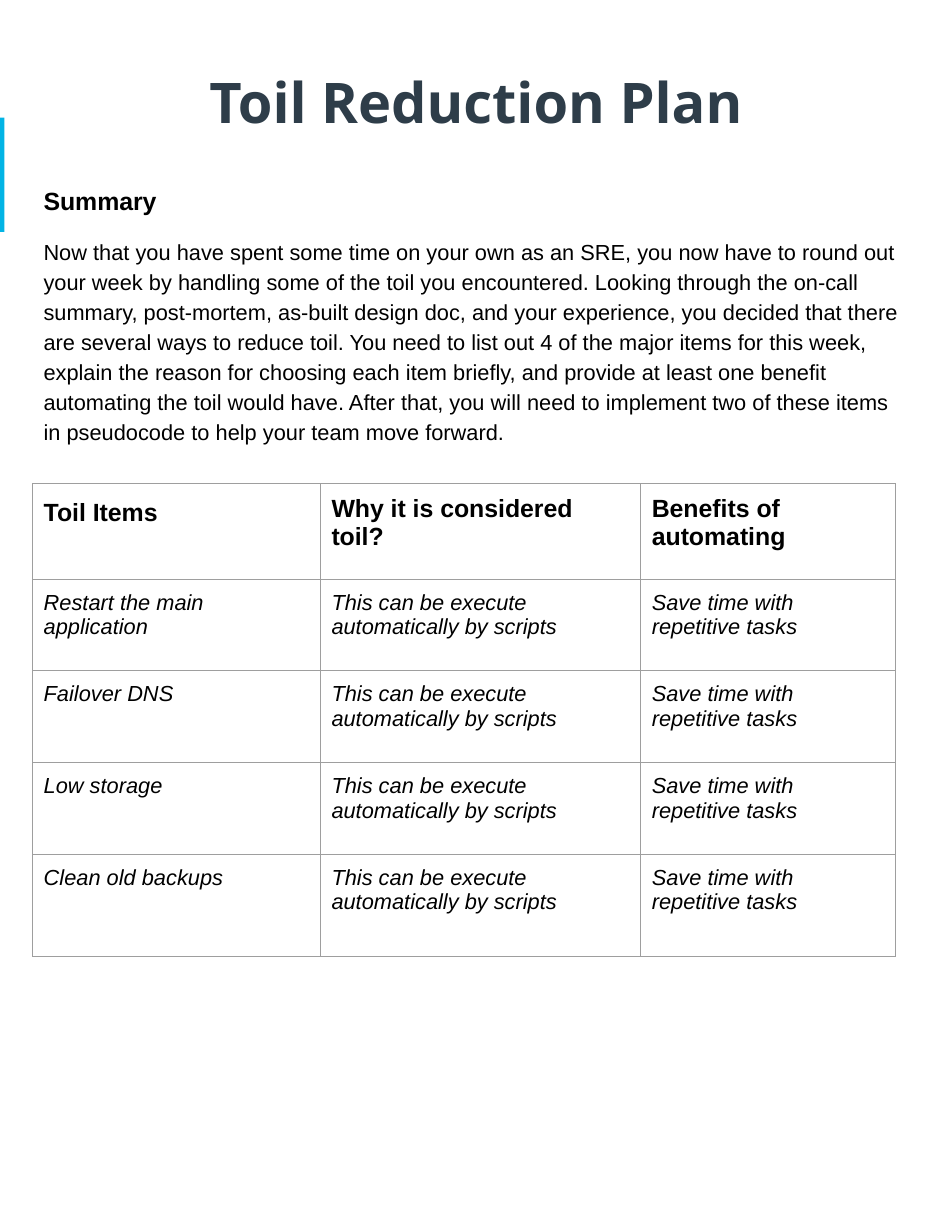
from dataclasses import dataclass

from lxml import etree
from pptx import Presentation
from pptx.dml.color import RGBColor
from pptx.enum.shapes import MSO_SHAPE
from pptx.enum.text import MSO_ANCHOR, PP_ALIGN
from pptx.oxml.ns import qn
from pptx.util import Inches, Pt

RECT = MSO_SHAPE.RECTANGLE
MIDDLE, TOP = MSO_ANCHOR.MIDDLE, MSO_ANCHOR.TOP
CENTER, LEFT = PP_ALIGN.CENTER, PP_ALIGN.LEFT

WIDE, HIGH = 8.5, 11
EDGE, PAD = 0.29, 0.1
COLS = (2.57, 2.86, 2.28)
ROWS = (0.85, 0.82, 0.82, 0.82, 0.91)
BLACK, NAVY, CYAN, GRAY = "000000", "2E3D49", "02B4E5", "9E9E9E"

SUMMARY = (
    "Now that you have spent some time on your own as an SRE, you now have to "
    "round out your week by handling some of the toil you encountered. Looking "
    "through the on-call summary, post-mortem, as-built design doc, and your "
    "experience, you decided that there are several ways to reduce toil. You need "
    "to list out 4 of the major items for this week, explain the reason for "
    "choosing each item briefly, and provide at least one benefit automating the "
    "toil would have. After that, you will need to implement two of these items "
    "in pseudocode to help your team move forward."
)
HEADS = ("Toil Items", "Why it is considered toil?", "Benefits of automating")
ITEMS = ("Restart the main\napplication", "Failover DNS", "Low storage",
         "Clean old backups")
REASON = "This can be execute automatically by scripts"
GAIN = "Save time with repetitive tasks"


@dataclass(frozen=True)
class Style:
    size: float
    font: str = "Arial"
    color: str = BLACK
    bold: bool = False
    italic: bool = False
    align: PP_ALIGN = LEFT
    line: float = 1.0
    before: float = 0
    after: float = 0


TITLE = Style(36, "Open Sans", NAVY, bold=True, align=CENTER)
LABEL = Style(16, bold=True, line=1.15, before=14)
PROSE = Style(14, line=1.15, before=12)
FIRST = Style(16, bold=True, line=1.15, before=12)
HEAD = Style(16, bold=True, before=12, after=12)
ENTRY = Style(14, italic=True)


def paint(target, color: str) -> None:
    target.rgb = RGBColor.from_string(color)


def format_text(para, style: Style) -> None:
    para.alignment = style.align
    para.line_spacing = style.line
    para.space_before, para.space_after = Pt(style.before), Pt(style.after)
    for run in para.runs:
        font = run.font
        font.name, font.size = style.font, Pt(style.size)
        font.bold, font.italic = style.bold, style.italic
        paint(font.color, style.color)


def add_text(slide, top: float, height: float, parts, anchor) -> None:
    box = slide.shapes.add_textbox(Inches(EDGE), Inches(top),
                                   Inches(WIDE - 2 * EDGE), Inches(height))
    frame = box.text_frame
    frame.word_wrap, frame.vertical_anchor = True, anchor
    frame.margin_left = frame.margin_right = Inches(PAD)
    frame.margin_top = frame.margin_bottom = Inches(PAD)
    frame.text = "\n".join(text for text, _ in parts)
    for para, (_, style) in zip(frame.paragraphs, parts):
        format_text(para, style)


def add_border(cell, color: str, width: float) -> None:
    props = cell._tc.get_or_add_tcPr()
    for spot, side in enumerate(("lnL", "lnR", "lnT", "lnB")):
        line = etree.Element(qn(f"a:{side}"), w=str(Pt(width)))
        fill = etree.SubElement(line, qn("a:solidFill"))
        etree.SubElement(fill, qn("a:srgbClr"), val=color)
        props.insert(spot, line)


def fill_cell(cell, text: str, style: Style) -> None:
    cell.margin_left = cell.margin_right = Inches(PAD)
    cell.margin_top = cell.margin_bottom = Inches(PAD)
    cell.fill.background()
    cell.text = text
    for para in cell.text_frame.paragraphs:
        format_text(para, style)
    add_border(cell, GRAY, 0.75)


def add_grid(slide, top: float) -> None:
    table = slide.shapes.add_table(
        len(ROWS), len(COLS), Inches(EDGE), Inches(top),
        Inches(sum(COLS)), Inches(sum(ROWS))).table
    table.first_row = table.horz_banding = False
    for col, width in zip(table.columns, COLS):
        col.width = Inches(width)
    for row, height in zip(table.rows, ROWS):
        row.height = Inches(height)
    lines = [HEADS] + [(item, REASON, GAIN) for item in ITEMS]
    for r, line in enumerate(lines):
        for c, text in enumerate(line):
            style = ENTRY if r else HEAD if c else FIRST
            fill_cell(table.cell(r, c), text, style)


def main() -> None:
    deck = Presentation()
    deck.slide_width, deck.slide_height = Inches(WIDE), Inches(HIGH)
    slide = deck.slides.add_slide(deck.slide_layouts[6])

    # Accent bar on the left edge
    bar = slide.shapes.add_shape(RECT, 0, Inches(1.05), Inches(0.04), Inches(1.02))
    bar.shadow.inherit = False
    bar.fill.solid()
    paint(bar.fill.fore_color, CYAN)
    bar.line.fill.background()

    # Title and summary
    add_text(slide, 0.29, 1.22, [("Toil Reduction Plan", TITLE)], MIDDLE)
    add_text(slide, 1.52, 2.67, [("Summary", LABEL), (SUMMARY, PROSE)], TOP)

    # Toil table
    add_grid(slide, 4.32)
    deck.save("out.pptx")


if __name__ == "__main__":
    main()
